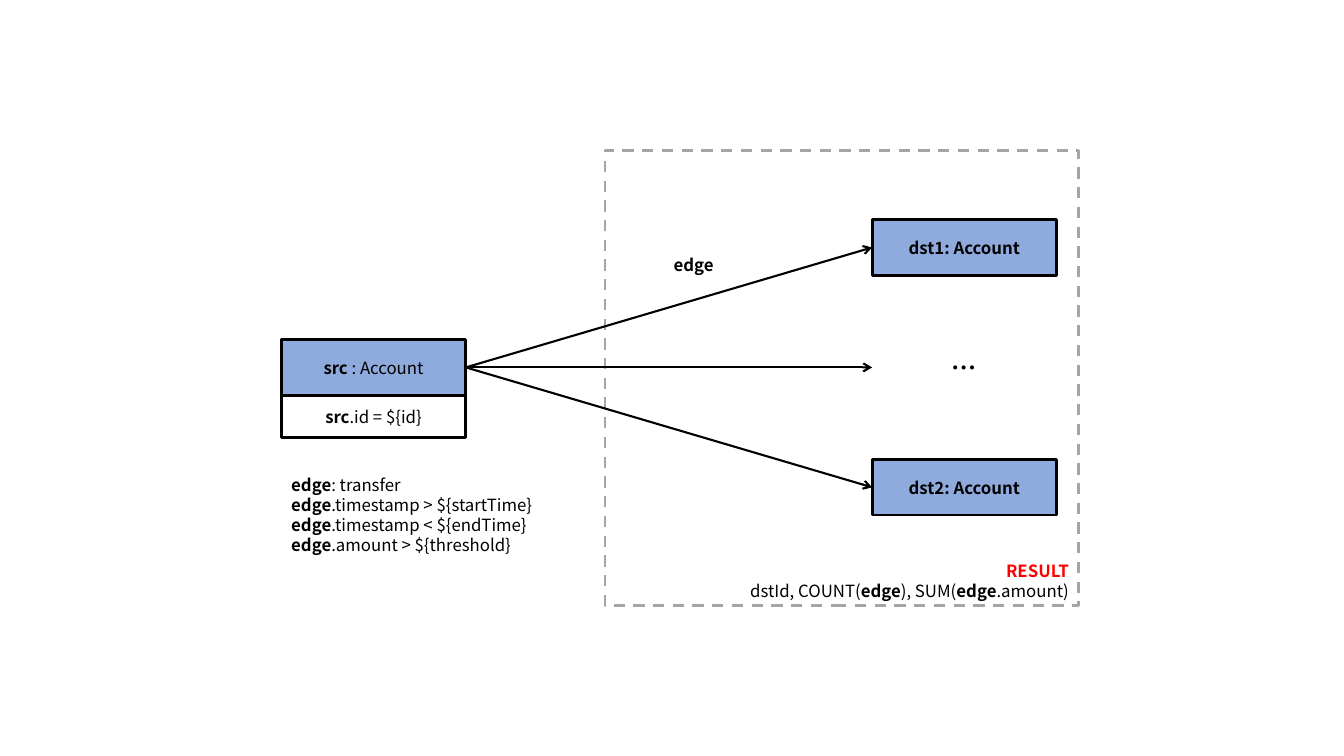
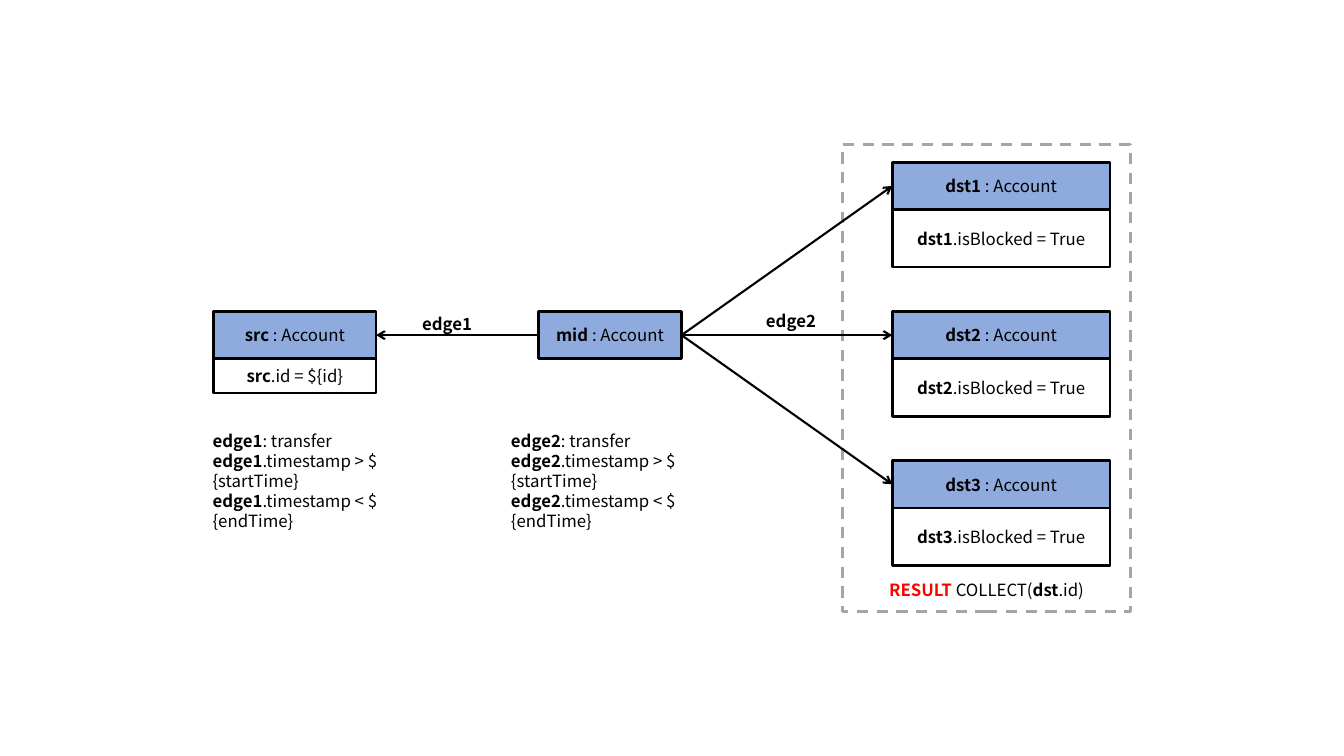
"""Build two account-transfer query pattern diagrams."""
from dataclasses import dataclass
from typing import NamedTuple, Optional

from lxml import etree
from pptx import Presentation
from pptx.dml.color import RGBColor
from pptx.enum import dml, shapes, text
from pptx.oxml import ns
from pptx.util import Inches, Pt


@dataclass(frozen=True)
class Theme:
    """Colours, type sizes and line widths shared by the slides."""

    font: str = "Noto Sans CJK SC"
    body_size: float = 12
    ellipsis_size: float = 18
    ink: str = "000000"
    account: str = "8FAADC"
    frame: str = "A5A5A5"
    result: str = "FF0000"
    border: float = 2
    edge: float = 1.5


class Box(NamedTuple):
    """Position and size in inches."""

    left: float
    top: float
    width: float
    height: float


class Run(NamedTuple):
    """A stretch of text in one style."""

    words: str
    bold: bool = False
    color: Optional[str] = None


Line = list[Run]


@dataclass(frozen=True)
class Account:
    """An account node with an optional condition below it."""

    box: Box
    title: Line
    condition: Optional[Line] = None
    condition_height: float = 0


@dataclass(frozen=True)
class Note:
    """Free text on the slide."""

    box: Box
    lines: list[Line]
    align: text.PP_ALIGN = text.PP_ALIGN.CENTER
    size: Optional[float] = None
    anchor: text.MSO_ANCHOR = text.MSO_ANCHOR.TOP
    grows: bool = True


@dataclass(frozen=True)
class ResultFrame:
    """A dashed frame around the nodes of the result."""

    box: Box
    lines: list[Line]
    align: text.PP_ALIGN
    bottom_inset: float = 0.05


THEME = Theme()
LEFT_SITE, RIGHT_SITE = 1, 3


def bold(words: str, color: Optional[str] = None) -> Run:
    """Return a bold run."""
    return Run(words, True, color)


def typed(name: str) -> Line:
    """Return the title of an account node."""
    return [bold(f"{name} "), Run(": Account")]


def edge_rules(name: str, *extra: str) -> list[Line]:
    """Return the filter lines of a transfer edge."""
    rules = (": transfer", ".timestamp > ${startTime}",
             ".timestamp < ${endTime}", *extra)
    return [[bold(name), Run(rule)] for rule in rules]


def emu(box: Box) -> list[int]:
    """Convert a box to slide lengths."""
    return [Inches(length) for length in box]


def write(shape, lines: list[Line], align: text.PP_ALIGN,
          anchor: text.MSO_ANCHOR, size: Optional[float] = None) -> None:
    """Write styled lines into a shape."""
    frame = shape.text_frame
    frame.word_wrap = True
    frame.vertical_anchor = anchor
    for index, line in enumerate(lines):
        paragraph = frame.add_paragraph() if index else frame.paragraphs[0]
        paragraph.alignment = align
        for part in line:
            run = paragraph.add_run()
            run.text = part.words
            run.font.name = THEME.font
            run.font.size = Pt(size or THEME.body_size)
            run.font.bold = part.bold
            run.font.color.rgb = RGBColor.from_string(part.color or THEME.ink)


def add_rect(parent, box: Box, line_color: str, fill: Optional[str] = None):
    """Add an outlined rectangle."""
    rect = parent.add_shape(shapes.MSO_SHAPE.RECTANGLE, *emu(box))
    rect.shadow.inherit = False
    if fill:
        rect.fill.solid()
        rect.fill.fore_color.rgb = RGBColor.from_string(fill)
    else:
        rect.fill.background()
    rect.line.color.rgb = RGBColor.from_string(line_color)
    rect.line.width = Pt(THEME.border)
    return rect


def add_account(slide, account: Account):
    """Add an account node and return its title rectangle."""
    parent = slide.shapes.add_group_shape().shapes if account.condition else slide.shapes
    center, middle = text.PP_ALIGN.CENTER, text.MSO_ANCHOR.MIDDLE
    header = add_rect(parent, account.box, THEME.ink, THEME.account)
    write(header, [account.title], center, middle)
    if account.condition:
        below = account.box._replace(top=account.box.top + account.box.height,
                                     height=account.condition_height)
        write(add_rect(parent, below, THEME.ink), [account.condition], center, middle)
    return header


def add_note(slide, note: Note):
    """Add a text box and return it."""
    label = slide.shapes.add_textbox(*emu(note.box))
    write(label, note.lines, note.align, note.anchor, note.size)
    if note.grows:
        label.text_frame.auto_size = text.MSO_AUTO_SIZE.SHAPE_TO_FIT_TEXT
    return label


def add_result_frame(slide, result: ResultFrame) -> None:
    """Add the dashed result frame with its caption."""
    frame = add_rect(slide.shapes, result.box, THEME.frame)
    frame.line.dash_style = dml.MSO_LINE.DASH
    frame.text_frame.margin_bottom = Inches(result.bottom_inset)
    write(frame, result.lines, result.align, text.MSO_ANCHOR.BOTTOM)


def add_edge(slide, source, target, arrow: str = "tailEnd") -> None:
    """Join the right of one node to the left of another."""
    edge = slide.shapes.add_connector(shapes.MSO_CONNECTOR.STRAIGHT, 0, 0, 0, 0)
    edge.begin_connect(source, RIGHT_SITE)
    edge.end_connect(target, LEFT_SITE)
    edge.line.color.rgb = RGBColor.from_string(THEME.ink)
    edge.line.width = Pt(THEME.edge)
    properties = edge._element.spPr
    outline = properties.find(ns.qn("a:ln"))
    etree.SubElement(outline, ns.qn(f"a:{arrow}"), type="arrow")
    etree.SubElement(properties, ns.qn("a:effectLst"))


def build_fan_out(slide) -> None:
    """Draw one source sending transfers to many accounts."""
    width, height, row, pitch = 1.83, 0.55, 3.37, 1.19
    middle = Box(8.65, row, width, height)
    add_result_frame(slide, ResultFrame(
        Box(6, 1.49, 4.7, 4.52),
        [[bold("RESULT", THEME.result)],
         [Run("dstId, COUNT("), bold("edge"), Run("), SUM("), bold("edge"),
          Run(".amount)")]],
        text.PP_ALIGN.RIGHT))
    source = add_account(slide, Account(
        Box(2.79, row, width, height), typed("src"),
        [bold("src"), Run(".id = ${id}")], 0.42))
    more = add_note(slide, Note(middle, [[bold("…")]], size=THEME.ellipsis_size,
                                anchor=text.MSO_ANCHOR.MIDDLE, grows=False))
    add_edge(slide, source, more)
    for name, step in (("dst1", -1), ("dst2", 1)):
        box = middle._replace(top=row + step * pitch)
        add_edge(slide, source,
                 add_account(slide, Account(box, [bold(f"{name}: Account")])))
    add_note(slide, Note(Box(6.52, 2.48, 0.72, 0.3), [[bold("edge")]]))
    add_note(slide, Note(Box(2.79, 4.66, 3.01, 0.91),
                         edge_rules("edge", ".amount > ${threshold}"),
                         text.PP_ALIGN.LEFT))


def build_blocked_accounts(slide) -> None:
    """Draw a middle account linking the source to blocked accounts."""
    height, row, pitch = 0.47, 3.09, 1.48
    add_result_frame(slide, ResultFrame(
        Box(8.36, 1.43, 2.85, 4.64),
        [[bold("RESULT ", THEME.result), Run("COLLECT("), bold("dst"), Run(".id)")]],
        text.PP_ALIGN.CENTER, 0.12))
    source = add_account(slide, Account(
        Box(2.12, row, 1.61, height), typed("src"),
        [bold("src"), Run(".id = ${id}")], 0.34))
    mid = add_account(slide, Account(Box(5.34, row, 1.42, height), typed("mid")))
    add_edge(slide, source, mid, "headEnd")
    for number in (1, 2, 3):
        name = f"dst{number}"
        blocked = add_account(slide, Account(
            Box(8.85, row + (number - 2) * pitch, 2.16, height), typed(name),
            [bold(name), Run(".isBlocked = True")], 0.57))
        add_edge(slide, mid, blocked)
    for name, label, rules in (
            ("edge1", Box(3.86, 3.06, 1.15, 0.3), Box(2.01, 4.22, 2.52, 0.71)),
            ("edge2", Box(7.27, 3.03, 1.15, 0.3), Box(4.97, 4.22, 2.63, 0.71))):
        add_note(slide, Note(label, [[bold(name)]]))
        add_note(slide, Note(rules, edge_rules(name), text.PP_ALIGN.LEFT))


def main() -> None:
    """Build and save the presentation."""
    deck = Presentation()
    deck.slide_width, deck.slide_height = Inches(13.33), Inches(7.5)
    for build in (build_fan_out, build_blocked_accounts):
        build(deck.slides.add_slide(deck.slide_layouts[6]))
    deck.save("out.pptx")


main()
